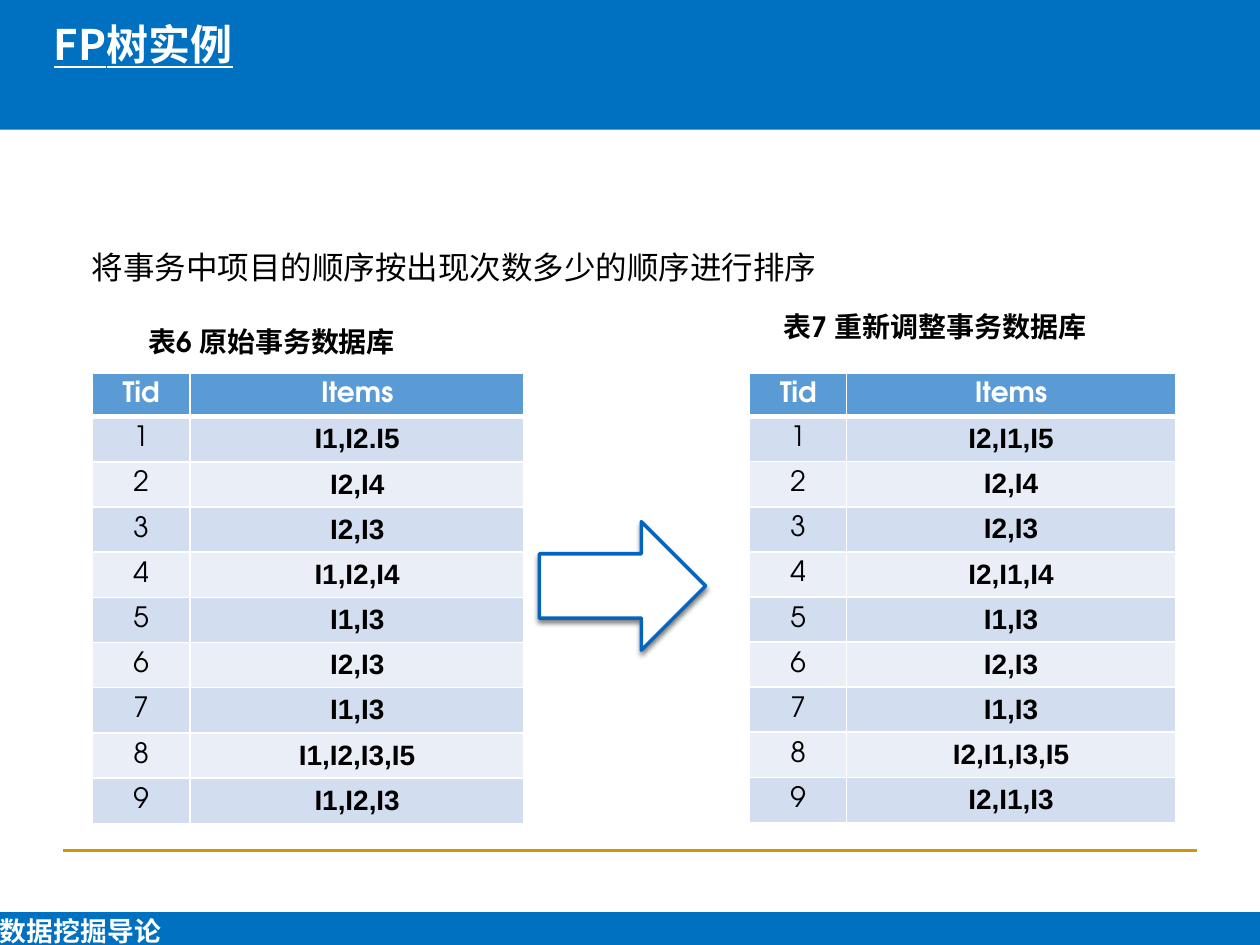
import pptx
import pptx.util
import pptx.dml.color
import pptx.enum.shapes
import pptx.enum.text
import pptx.oxml
import pptx.oxml.ns

COLORS = {
    "band": "0070C0", "rule": "CC9900", "arrow": "0365C0", "header": "5B9BD5",
    "odd": "D2DEEF", "even": "EAEFF7", "white": "FFFFFF", "black": "000000",
}
CJK, LATIN, ITEM = "Noto Sans CJK SC", "TeX Gyre Adventor", "Arial"
SHAPE = pptx.enum.shapes.MSO_SHAPE
ALIGN = pptx.enum.text.PP_ALIGN
MIDDLE = pptx.enum.text.MSO_ANCHOR.MIDDLE


class Board:
    """Draws styled elements on one slide, placed on a grid of 100 columns by 75 rows."""

    def __init__(self, deck):
        self.slide = deck.slides.add_slide(deck.slide_layouts[6])
        self.shapes = self.slide.shapes
        self.column = deck.slide_width / 100
        self.row = deck.slide_height / 75

    def place(self, left, top, width, height):
        return (round(left * self.column), round(top * self.row),
                round(width * self.column), round(height * self.row))

    def color(self, name):
        return pptx.dml.color.RGBColor.from_string(COLORS[name])

    def xml(self, markup):
        opening, rest = markup.split(">", 1)
        return pptx.oxml.parse_xml(f"{opening} {pptx.oxml.ns.nsdecls('a')}>{rest}")

    def add_run(self, frame, text, size, font=LATIN, color="black", bold=False,
                underline=False, align=ALIGN.LEFT):
        paragraph = frame.paragraphs[0]
        paragraph.alignment = align
        run = paragraph.add_run()
        run.text = text
        run.font.size = pptx.util.Pt(size)
        run.font.name = font
        run.font.bold = bold
        run.font.underline = underline
        run.font.color.rgb = self.color(color)
        east_asian = self.xml("<a:ea></a:ea>")
        east_asian.set("typeface", CJK)
        run.font._element.find(pptx.oxml.ns.qn("a:latin")).addnext(east_asian)

    def text(self, box, text, size, inset=True, **style):
        frame = self.shapes.add_textbox(*self.place(*box)).text_frame
        frame.word_wrap = True
        if not inset:
            frame.margin_left = frame.margin_right = 0
            frame.margin_top = frame.margin_bottom = 0
            frame.vertical_anchor = MIDDLE
        self.add_run(frame, text, size, **style)

    def shape(self, kind, box, fill, line=None, shadow=False):
        shape = self.shapes.add_shape(kind, *self.place(*box))
        shape.shadow.inherit = False
        shape.fill.solid()
        shape.fill.fore_color.rgb = self.color(fill)
        if line:
            shape.line.color.rgb = self.color(line)
            shape.line.width = pptx.util.Pt(2)
        else:
            shape.line.fill.background()
        if shadow:
            effects = shape._element.spPr.find(pptx.oxml.ns.qn("a:effectLst"))
            effects.append(self.xml(
                '<a:outerShdw blurRad="38100" dist="25400" dir="5400000" rotWithShape="0">'
                '<a:srgbClr val="000000"><a:alpha val="50000"/></a:srgbClr></a:outerShdw>'))

    def rule(self, left, right, row, color):
        x, y, width, _ = self.place(left, row, right - left, 0)
        rule = self.shapes.add_connector(
            pptx.enum.shapes.MSO_CONNECTOR.STRAIGHT, x, y, x + width, y)
        rule.line.color.rgb = self.color(color)
        rule.line.width = pptx.util.Pt(1.5)
        rule._element.spPr.append(self.xml("<a:effectLst></a:effectLst>"))

    def borders(self, cell, top, bottom):
        for index, (side, points) in enumerate(
                [("L", 1), ("R", 1), ("T", top), ("B", bottom)]):
            cell._tc.get_or_add_tcPr().insert(index, self.xml(
                f'<a:ln{side} w="{pptx.util.Pt(points)}"><a:solidFill>'
                f'<a:srgbClr val="{COLORS["white"]}"/></a:solidFill></a:ln{side}>'))

    def transactions(self, left, top, widths, heights, itemsets):
        records = [("Tid", "Items")]
        records += [(str(tid), items) for tid, items in enumerate(itemsets, 1)]
        box = self.place(left, top, sum(widths), heights[0] + heights[1] * len(itemsets))
        table = self.shapes.add_table(len(records), 2, *box).table
        for column, width in zip(table.columns, widths):
            column.width = round(width * self.column)
        for tid, record in enumerate(records):
            header = tid == 0
            table.rows[tid].height = round(heights[min(tid, 1)] * self.row)
            fill = "header" if header else ("even", "odd")[tid % 2]
            for position, content in enumerate(record):
                cell = table.cell(tid, position)
                cell.margin_left = cell.margin_right = pptx.util.Inches(0.07)
                cell.margin_top = cell.margin_bottom = pptx.util.Inches(0.04)
                cell.vertical_anchor = MIDDLE
                cell.fill.solid()
                cell.fill.fore_color.rgb = self.color(fill)
                self.borders(cell, 3 if tid == 1 else 1, 3 if header else 1)
                is_items = position == 1 and not header
                self.add_run(cell.text_frame, content, 16, ITEM if is_items else LATIN,
                             "white" if header else "black",
                             bold=header or is_items, align=ALIGN.CENTER)


def main():
    deck = pptx.Presentation()
    deck.slide_width = pptx.util.Inches(10)
    deck.slide_height = pptx.util.Inches(7.5)
    board = Board(deck)

    board.rule(5, 95, 67.5, "rule")
    board.shape(SHAPE.RECTANGLE, (0, -0.2, 100, 10.5), "band")
    board.shape(SHAPE.RECTANGLE, (0, 72.4, 100, 2.6), "band")
    board.text((0, 72.4, 19.4, 2.9), "数据挖掘导论", 15.3, inset=False,
               font=CJK, color="white", bold=True)
    board.text((3.3, 1, 65.6, 8.3), "FP树实例", 24,
               font=CJK, color="white", bold=True, underline=True)

    original = ["I1,I2.I5", "I2,I4", "I2,I3", "I1,I2,I4", "I1,I3",
                "I2,I3", "I1,I3", "I1,I2,I3,I5", "I1,I2,I3"]
    reordered = ["I2,I1,I5", "I2,I4", "I2,I3", "I2,I1,I4", "I1,I3",
                 "I2,I3", "I1,I3", "I2,I1,I3,I5", "I2,I1,I3"]
    board.transactions(7.3, 29.6, (7.8, 26.5), (3.4, 3.59), original)
    board.text((7, 25.3, 29.1, 3.7), "表6 原始事务数据库", 16,
               bold=True, align=ALIGN.CENTER)
    board.text((61.2, 24.1, 29.4, 3.7), "表7 重新调整事务数据库", 16, bold=True)
    board.transactions(59.5, 29.6, (7.7, 26.1), (3.4, 3.58), reordered)

    board.text((6.3, 19.2, 64.9, 4), "将事务中项目的顺序按出现次数多少的顺序进行排序", 18)
    board.shape(SHAPE.RIGHT_ARROW, (42.8, 41.4, 13.2, 10.2), "white",
                line="arrow", shadow=True)
    deck.save("out.pptx")


if __name__ == "__main__":
    main()
